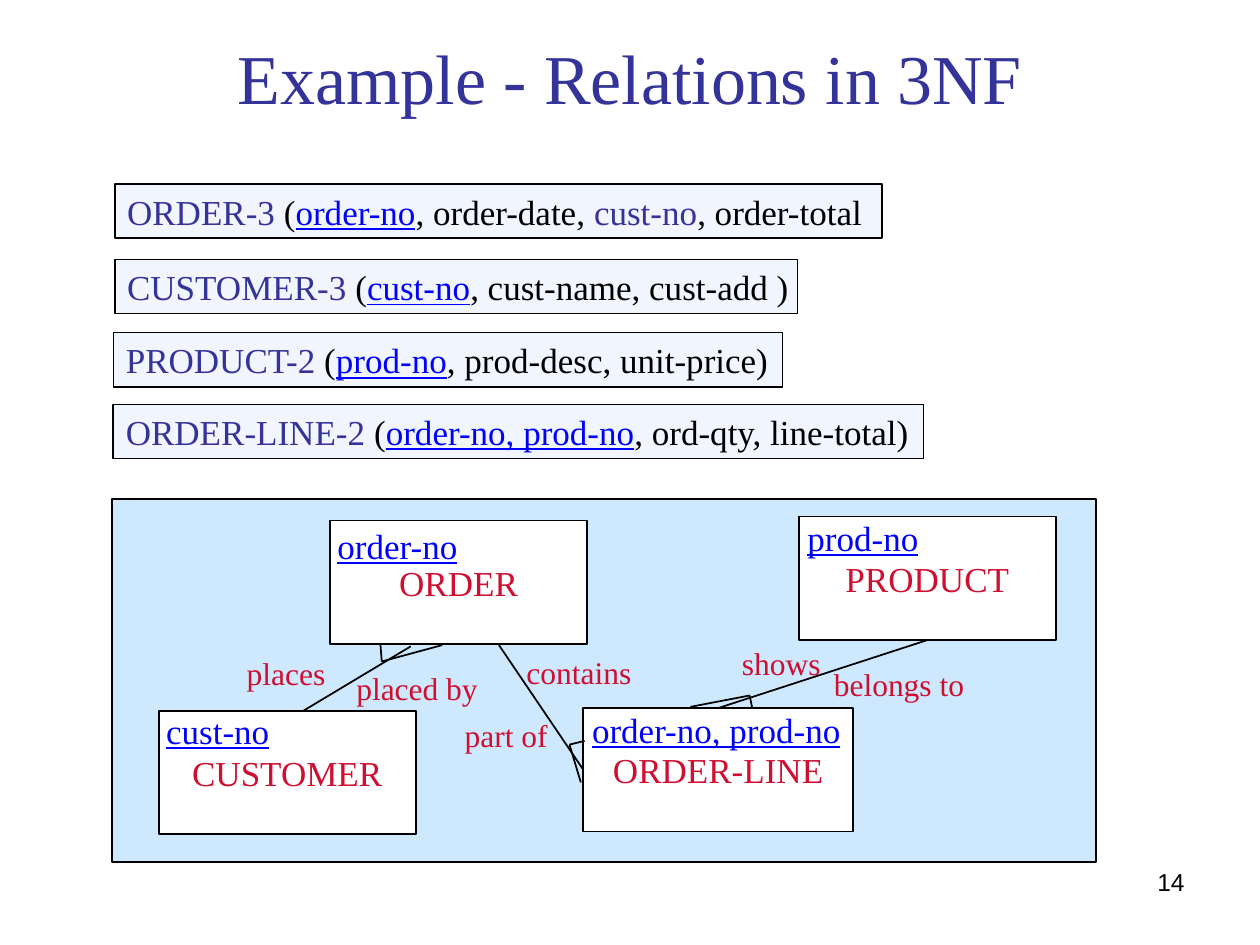
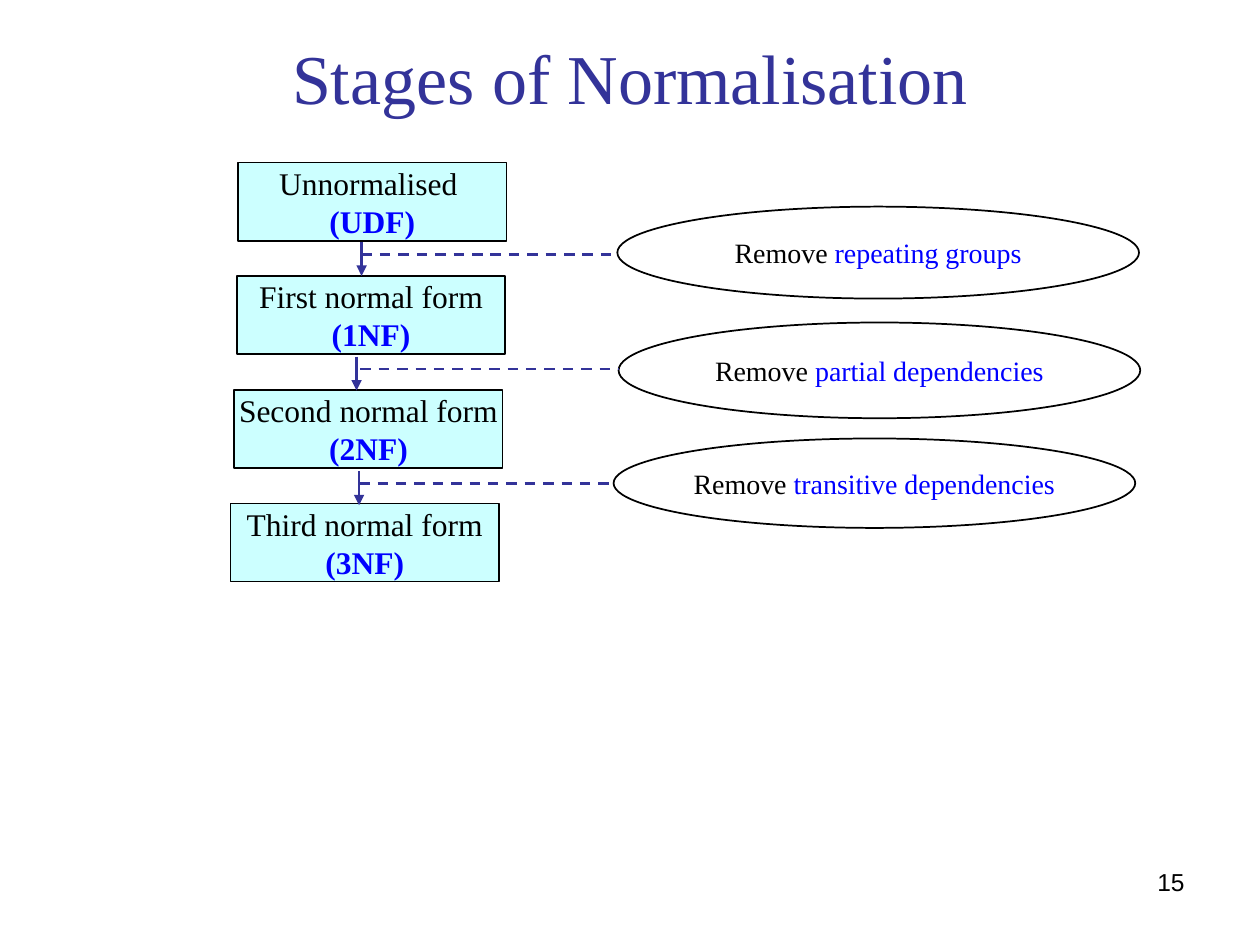
from dataclasses import dataclass
from typing import NamedTuple

from lxml import etree
from pptx import Presentation
from pptx.dml.color import RGBColor
from pptx.enum.dml import MSO_LINE
from pptx.enum.shapes import MSO_CONNECTOR, MSO_SHAPE
from pptx.enum.text import MSO_ANCHOR, PP_ALIGN
from pptx.oxml.ns import qn
from pptx.util import Inches, Pt

STRAIGHT = MSO_CONNECTOR.STRAIGHT
RECT, OVAL = MSO_SHAPE.RECTANGLE, MSO_SHAPE.OVAL
LEFT, CENTER, RIGHT = PP_ALIGN.LEFT, PP_ALIGN.CENTER, PP_ALIGN.RIGHT
TOP, MIDDLE = MSO_ANCHOR.TOP, MSO_ANCHOR.MIDDLE
DASH = MSO_LINE.DASH
TITLE_ONLY = 5
TOP_SIDE, LEFT_SIDE, BOTTOM_SIDE = 0, 1, 2

# The slide is a grid of 100 columns by 75 rows; all places are in its cells.
COLS, ROWS = 100, 75
WIDTH, HEIGHT = Inches(10), Inches(7.5)


@dataclass(frozen=True)
class Theme:
    serif: str = "Times New Roman"
    sans: str = "Arial"
    navy: str = "333399"
    blue: str = "0000FF"
    black: str = "000000"
    red: str = "CF0E30"
    white: str = "FFFFFF"
    bar: str = "F0F5FE"
    panel: str = "CEE9FE"
    stage: str = "CCFFFF"
    title_size: int = 40
    head_size: int = 20
    text_size: int = 18
    note_size: int = 16
    page_size: int = 14
    thin: float = 1
    thick: float = 1.5


THEME = Theme()


class Box(NamedTuple):
    left: float
    top: float
    width: float
    height: float


class Point(NamedTuple):
    x: float
    y: float


class Span(NamedTuple):
    text: str
    color: str = THEME.black
    under: bool = False
    bold: bool = False


class Bar(NamedTuple):
    """A relation, with the spans of its schema."""
    left: float
    top: float
    width: float
    spans: list[Span]


class Entity(NamedTuple):
    name: str
    key: str
    box: Box
    key_box: Box


class Foot(NamedTuple):
    """A crow's foot: two toes that meet at the apex."""
    toe_a: Point
    apex: Point
    toe_b: Point


class Label(NamedTuple):
    text: str
    box: Box


class Stage(NamedTuple):
    name: str
    code: str
    left: float


class Step(NamedTuple):
    """What is removed between two stages."""
    target: str
    arrow_x: float
    dash_x: float
    oval_left: float
    oval_height: float


def key(text: str) -> Span:
    return Span(text, THEME.blue, under=True)


def head(text: str) -> Span:
    return Span(text, THEME.navy)


BARS = [
    Bar(9.1, 14.6, 60.9, [head("ORDER-3"), Span(" ("), key("order-no"),
                          Span(", order-date, "), head("cust-no"), Span(", order-total")]),
    Bar(9.1, 20.6, 54.2, [head("CUSTOMER-3"), Span(" ("), key("cust-no"),
                          Span(", cust-name, cust-add )")]),
    Bar(9, 26.4, 53.1, [head("PRODUCT-2"), Span(" ("), key("prod-no"),
                        Span(", prod-desc, unit-price)")]),
    Bar(9, 32.1, 64.3, [head("ORDER-LINE-2"), Span(" ("), key("order-no, prod-no"),
                        Span(", ord-qty, line-total)")]),
]
BAR_HEIGHT = 4.3
PANEL = Box(8.9, 39.6, 78.1, 28.8)
ENTITIES = [
    Entity("CUSTOMER", "cust-no", Box(12.6, 56.4, 20.4, 9.8), Box(12.2, 55.8, 10.2, 4.4)),
    Entity("ORDER", "order-no", Box(26.2, 41.3, 20.4, 9.8), Box(25.8, 41.1, 11.6, 4.4)),
    Entity("ORDER-LINE", "order-no, prod-no", Box(46.3, 56.2, 21.4, 9.8),
           Box(46, 55.7, 21.8, 4.4)),
    Entity("PRODUCT", "prod-no", Box(63.4, 41, 20.4, 9.8), Box(63.1, 40.5, 10.8, 4.4)),
]
FEET = [
    Foot(Point(46.1, 62.1), Point(45.2, 59.1), Point(46.4, 58.8)),
    Foot(Point(30.2, 51.2), Point(30.3, 52.5), Point(35.1, 51.2)),
    Foot(Point(54.8, 56.1), Point(59.5, 55.2), Point(59.7, 56.2)),
]
LABELS = [
    Label("places", Box(18.6, 51.4, 8.2, 4)),
    Label("placed by", Box(27.3, 52.6, 11.6, 4)),
    Label("contains", Box(40.8, 51.3, 10.3, 4)),
    Label("part of", Box(35.9, 56.3, 8.6, 4)),
    Label("shows", Box(57.9, 50.6, 8.2, 4)),
    Label("belongs to", Box(65.2, 52.3, 12.3, 4)),
]

STAGES = [
    Stage("Unnormalised ", "(UDF)", 18.9),
    Stage("First normal form", "(1NF)", 18.8),
    Stage("Second normal form", "(2NF)", 18.6),
    Stage("Third normal form", "(3NF)", 18.3),
]
STEPS = [
    Step("repeating groups", 28.7, 28.7, 49, 7.3),
    Step("partial dependencies", 28.3, 28.6, 49.1, 7.6),
    Step("transitive dependencies", 28.5, 28.5, 48.7, 7.1),
]
STAGE_TOP, STAGE_PITCH = 12.9, 9.02
ARROW_TOP, DASH_TOP, ARROW_PITCH, ARROW_LENGTH = 19.2, 20.2, 9.1, 2.7
OVAL_TOP, OVAL_PITCH = 16.4, 9.2


def across(cols: float) -> int:
    return round(WIDTH * cols / COLS)


def down(rows: float) -> int:
    return round(HEIGHT * rows / ROWS)


def place(box: Box) -> tuple[int, int, int, int]:
    return across(box.left), down(box.top), across(box.width), down(box.height)


def write(shape, lines: list[list[Span]], size: int, align=LEFT, anchor=MIDDLE,
          font: str = THEME.serif, wrap: bool = True) -> None:
    """Fill a shape with one paragraph for each list of spans."""
    frame = shape.text_frame
    frame.word_wrap = wrap
    frame.vertical_anchor = anchor
    if align == LEFT:
        frame.margin_right = 0
    frame.text = "\n".join("" for _ in lines)
    for para, spans in zip(frame.paragraphs, lines):
        para.alignment = align
        for span in spans:
            run = para.add_run()
            run.text = span.text
            run.font.name = font
            run.font.size = Pt(size)
            run.font.bold = span.bold
            run.font.underline = span.under
            run.font.color.rgb = RGBColor.from_string(span.color)


def add_shape(slide, kind, box: Box, fill: str):
    shape = slide.shapes.add_shape(kind, *place(box))
    shape.shadow.inherit = False
    shape.fill.solid()
    shape.fill.fore_color.rgb = RGBColor.from_string(fill)
    shape.line.color.rgb = RGBColor.from_string(THEME.black)
    shape.line.width = Pt(THEME.thin)
    return shape


def add_label(slide, box: Box, span: Span, size: int, **style) -> None:
    label = slide.shapes.add_textbox(*place(box))
    write(label, [[span]], size, anchor=TOP, **style)


def add_line(slide, start: Point, end: Point, color: str = THEME.black,
             width: float = THEME.thin):
    line = slide.shapes.add_connector(STRAIGHT, across(start.x), down(start.y),
                                      across(end.x), down(end.y))
    line.line.color.rgb = RGBColor.from_string(color)
    line.line.width = Pt(width)
    etree.SubElement(line.element.spPr, qn("a:effectLst"))
    return line


def add_arrow(slide, start: Point, end: Point) -> None:
    line = add_line(slide, start, end, THEME.navy, THEME.thick)
    etree.SubElement(line.line._get_or_add_ln(), qn("a:tailEnd"), type="triangle")


def add_slide(deck, title: str, page: int):
    slide = deck.slides.add_slide(deck.slide_layouts[TITLE_ONLY])
    head_box = slide.shapes.title
    head_box.left, head_box.top, head_box.width, head_box.height = place(
        Box(0, 0, COLS, 12.1))
    write(head_box, [[head(title)]], THEME.title_size, CENTER)
    add_label(slide, Box(71.7, 68.3, 23.3, 5.2), Span(str(page)), THEME.page_size,
              align=RIGHT, font=THEME.sans)
    return slide


def draw_model(slide) -> None:
    """Draw the entities and the links between them."""
    add_shape(slide, RECT, PANEL, THEME.panel)
    boxes = {}
    for item in ENTITIES:
        box = add_shape(slide, RECT, item.box, THEME.white)
        write(box, [[Span(item.name, THEME.red)]], THEME.head_size, CENTER, wrap=False)
        boxes[item.name] = box

    add_line(slide, Point(24.1, 56.4), Point(32.6, 51.3))
    holds = add_line(slide, Point(39.6, 51.2), Point(46.3, 61.1))
    holds.end_connect(boxes["ORDER-LINE"], LEFT_SIDE)
    shows = add_line(slide, Point(57, 56.2), Point(73.6, 50.8))
    shows.begin_connect(boxes["ORDER-LINE"], TOP_SIDE)
    shows.end_connect(boxes["PRODUCT"], BOTTOM_SIDE)
    for foot in FEET:
        add_line(slide, foot.toe_a, foot.apex)
        add_line(slide, foot.apex, foot.toe_b)

    for label in LABELS:
        add_label(slide, label.box, Span(label.text, THEME.red), THEME.text_size)
    for item in ENTITIES:
        add_label(slide, item.key_box, key(item.key), THEME.head_size)


def draw_bars(slide) -> None:
    for bar in BARS:
        box = Box(bar.left, bar.top, bar.width, BAR_HEIGHT)
        write(add_shape(slide, RECT, box, THEME.bar), [bar.spans], THEME.head_size)


def draw_stages(slide) -> None:
    for row, stage in enumerate(STAGES):
        box = Box(stage.left, STAGE_TOP + row * STAGE_PITCH, 21.3, 6.2)
        lines = [[Span(stage.name)], [Span(stage.code, THEME.blue, bold=True)]]
        write(add_shape(slide, RECT, box, THEME.stage), lines, THEME.text_size,
              CENTER, wrap=False)


def draw_steps(slide) -> None:
    for row, step in enumerate(STEPS):
        top = ARROW_TOP + row * ARROW_PITCH
        add_arrow(slide, Point(step.arrow_x, top), Point(step.arrow_x, top + ARROW_LENGTH))
        box = Box(step.oval_left, OVAL_TOP + row * OVAL_PITCH, 41.4, step.oval_height)
        write(add_shape(slide, OVAL, box, THEME.white),
              [[Span("Remove "), Span(step.target, THEME.blue)]],
              THEME.note_size, CENTER, wrap=False)
        level = DASH_TOP + row * ARROW_PITCH
        dash = add_line(slide, Point(step.dash_x, level), Point(step.oval_left, level),
                        THEME.navy, THEME.thick)
        dash.line.dash_style = DASH


def main() -> None:
    deck = Presentation()
    deck.slide_width, deck.slide_height = WIDTH, HEIGHT
    model = add_slide(deck, "Example - Relations in 3NF", 14)
    draw_bars(model)
    draw_model(model)
    stages = add_slide(deck, "Stages of Normalisation", 15)
    draw_stages(stages)
    draw_steps(stages)
    deck.save("out.pptx")


if __name__ == "__main__":
    main()
